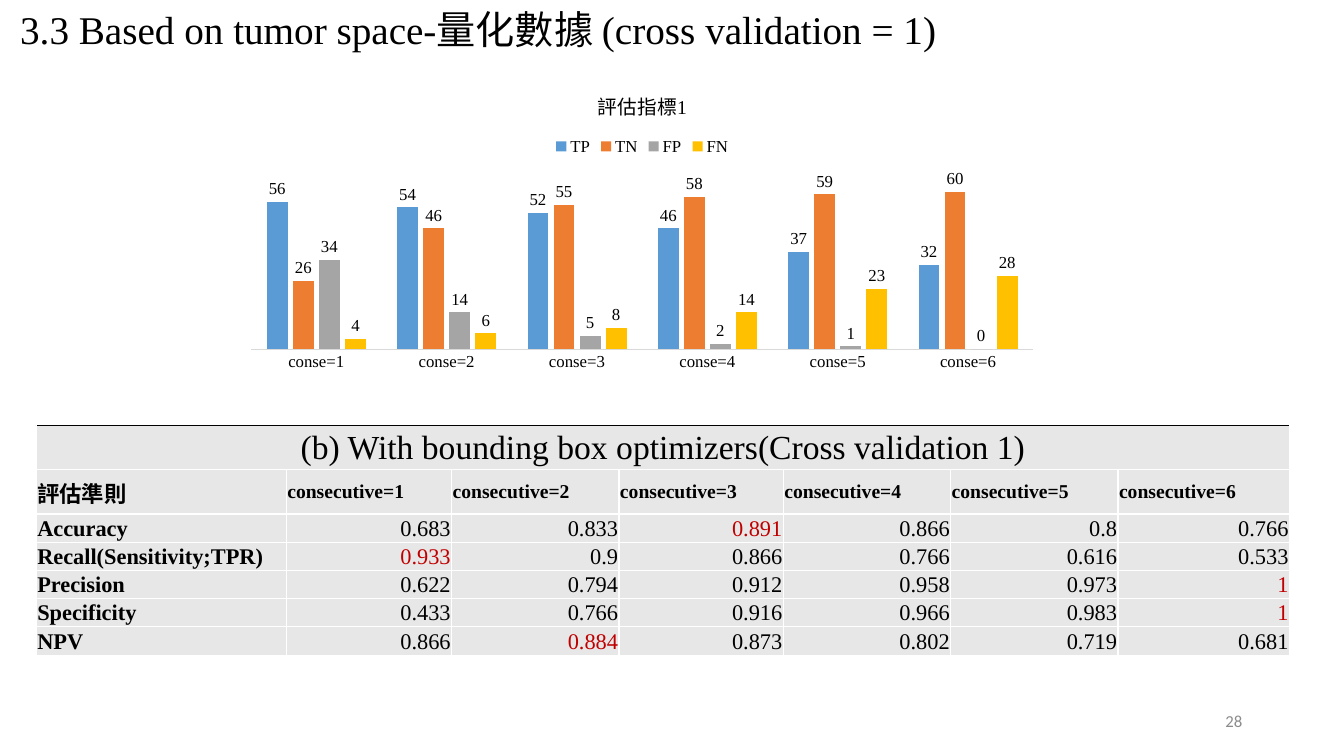
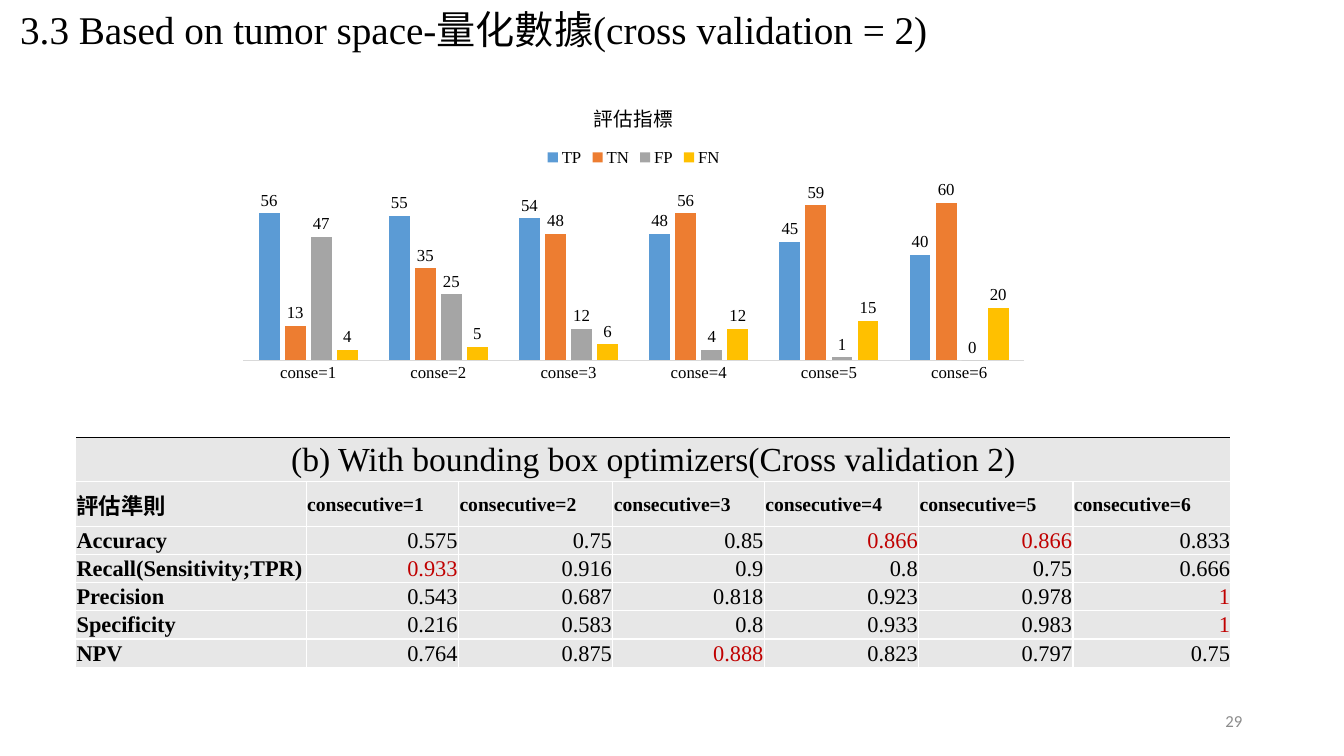
import pptx
import pptx.chart.data
import pptx.dml.color
import pptx.enum.chart
import pptx.enum.text
import pptx.oxml
import pptx.util
from pptx.util import Inches

# Shared style
FONT = "Times New Roman"
BLACK, WHITE, RED, GREY = "000000", "FFFFFF", "C00000", "8C8C8C"
CELL_FILL, AXIS_LINE = "E7E7E7", "D9D9D9"
SERIES_COLORS = {"TP": "5B9BD5", "TN": "ED7D31", "FP": "A5A5A5", "FN": "FFC000"}
STEPS = range(1, 7)
METRICS = ["Accuracy", "Recall(Sensitivity;TPR)", "Precision", "Specificity", "NPV"]
COL_WIDTHS = [2.48, 1.64, 1.66, 1.63, 1.66, 1.66, 1.7]
HEAD_HEIGHT, ROW_HEIGHT = 0.44, 0.28
LEFT = pptx.enum.text.PP_ALIGN.LEFT
CENTER = pptx.enum.text.PP_ALIGN.CENTER
RIGHT = pptx.enum.text.PP_ALIGN.RIGHT

# Content of each slide
SLIDES = [
    {
        "number": 28,
        "title": "3.3 Based on tumor space-量化數據 (cross validation = 1)",
        "chart_title": "評估指標1",
        "chart_box": (2.33, 0.74, 8.08, 3),
        "counts": {
            "TP": [56, 54, 52, 46, 37, 32],
            "TN": [26, 46, 55, 58, 59, 60],
            "FP": [34, 14, 5, 2, 1, 0],
            "FN": [4, 6, 8, 14, 23, 28],
        },
        "caption": "(b) With bounding box optimizers(Cross validation 1)",
        "table_box": (0.36, 4.22, 12.43),
        "scores": [
            [0.683, 0.833, 0.891, 0.866, 0.8, 0.766],
            [0.933, 0.9, 0.866, 0.766, 0.616, 0.533],
            [0.622, 0.794, 0.912, 0.958, 0.973, 1],
            [0.433, 0.766, 0.916, 0.966, 0.983, 1],
            [0.866, 0.884, 0.873, 0.802, 0.719, 0.681],
        ],
    },
    {
        "number": 29,
        "title": "3.3 Based on tumor space-量化數據(cross validation = 2)",
        "chart_title": "評估指標",
        "chart_box": (2.25, 0.85, 8.07, 3),
        "counts": {
            "TP": [56, 55, 54, 48, 45, 40],
            "TN": [13, 35, 48, 56, 59, 60],
            "FP": [47, 25, 12, 4, 1, 0],
            "FN": [4, 5, 6, 12, 15, 20],
        },
        "caption": "(b) With bounding box optimizers(Cross validation 2)",
        "table_box": (0.75, 4.34, 11.46),
        "scores": [
            [0.575, 0.75, 0.85, 0.866, 0.866, 0.833],
            [0.933, 0.916, 0.9, 0.8, 0.75, 0.666],
            [0.543, 0.687, 0.818, 0.923, 0.978, 1],
            [0.216, 0.583, 0.8, 0.933, 0.983, 1],
            [0.764, 0.875, 0.888, 0.823, 0.797, 0.75],
        ],
    },
]


def rgb(color):
    return pptx.dml.color.RGBColor.from_string(color)


def format_font(font, size=12, color=BLACK, bold=False, name=FONT):
    font.name = name
    font.size = pptx.util.Pt(size)
    font.bold = bold
    font.color.rgb = rgb(color)


def write(tf, text, align=LEFT, **style):
    p = tf.paragraphs[0]
    p.alignment = align
    r = p.add_run()
    r.text = text
    format_font(r.font, **style)


# Title and slide number
def add_title(s, text):
    sp = s.shapes.title
    sp.left, sp.top, sp.width, sp.height = map(Inches, (-0.4, 0, 12.47, 0.57))
    tf = sp.text_frame
    tf.auto_size = pptx.enum.text.MSO_AUTO_SIZE.NONE
    tf.vertical_anchor = pptx.enum.text.MSO_ANCHOR.TOP
    tf.margin_left = Inches(0.6)
    write(tf, text, size=28)


def add_slide_number(s, number):
    sp = s.shapes.add_textbox(*map(Inches, (9.42, 6.95, 3, 0.4)))
    tf = sp.text_frame
    tf.word_wrap = True
    tf.vertical_anchor = pptx.enum.text.MSO_ANCHOR.MIDDLE
    write(tf, str(number), align=RIGHT, color=GREY, name="Calibri")


# Column chart
def add_counts_chart(s, box, title, counts):
    data = pptx.chart.data.CategoryChartData()
    data.categories = [f"conse={n}" for n in STEPS]
    for name, values in counts.items():
        data.add_series(name, values)
    kind = pptx.enum.chart.XL_CHART_TYPE.COLUMN_CLUSTERED
    chart = s.shapes.add_chart(kind, *map(Inches, box), data).chart
    format_font(chart.font)

    chart.has_title = True
    write(chart.chart_title.text_frame, title, align=CENTER, size=14)
    chart.has_legend = True
    chart.legend.position = pptx.enum.chart.XL_LEGEND_POSITION.TOP
    chart.legend.include_in_layout = False
    format_font(chart.legend.font)

    axis = chart.category_axis
    axis.major_tick_mark = pptx.enum.chart.XL_TICK_MARK.NONE
    axis.format.line.color.rgb = rgb(AXIS_LINE)
    axis.format.line.width = pptx.util.Pt(0.75)
    format_font(axis.tick_labels.font)
    axis = chart.value_axis
    axis.minimum_scale, axis.maximum_scale = 0, 70
    axis.has_major_gridlines = False
    axis.visible = False

    plot = chart.plots[0]
    plot.gap_width, plot.overlap = 150, -25
    plot.vary_by_categories = False
    for series in plot.series:
        series.format.fill.solid()
        series.format.fill.fore_color.rgb = rgb(SERIES_COLORS[series.name])
        labels = series.data_labels
        labels.show_value = True
        labels.position = pptx.enum.chart.XL_LABEL_POSITION.OUTSIDE_END
        format_font(labels.font)


# Score table
def set_borders(cell, top):
    tc_pr = cell._tc.get_or_add_tcPr()
    for side, color in zip("LRTB", (WHITE, WHITE, top, WHITE)):
        tc_pr.append(pptx.oxml.parse_xml(
            f'<a:ln{side} xmlns:a="http://schemas.openxmlformats.org/drawingml/2006/main"'
            f' w="12700"><a:solidFill><a:srgbClr val="{color}"/></a:solidFill></a:ln{side}>'))


def style_cell(cell, top=WHITE):
    set_borders(cell, top)
    cell.fill.solid()
    cell.fill.fore_color.rgb = rgb(CELL_FILL)
    cell.vertical_anchor = pptx.enum.text.MSO_ANCHOR.MIDDLE
    cell.margin_left = cell.margin_top = cell.margin_right = Inches(0.01)
    cell.margin_bottom = 0


def add_score_table(s, box, caption, scores):
    left, top, width = box
    heights = [HEAD_HEIGHT] * 2 + [ROW_HEIGHT] * len(METRICS)
    frame = s.shapes.add_table(len(heights), len(COL_WIDTHS), *map(
        Inches, (left, top, width, sum(heights))))
    table = frame.table
    table.first_row = table.horz_banding = False
    for column, share in zip(table.columns, COL_WIDTHS):
        column.width = Inches(width * share / sum(COL_WIDTHS))
    for i, height in enumerate(heights):
        table.rows[i].height = Inches(height)
        for cell in table.rows[i].cells:
            style_cell(cell, top=WHITE if i else BLACK)

    # Caption and headings
    table.cell(0, 0).merge(table.cell(0, len(COL_WIDTHS) - 1))
    write(table.cell(0, 0).text_frame, caption, align=CENTER, size=24)
    write(table.cell(1, 0).text_frame, "評估準則", size=16, bold=True)
    for n in STEPS:
        write(table.cell(1, n).text_frame, f"consecutive={n}", size=14, bold=True)

    # Scores, with the best of each row in red
    for i, (metric, values) in enumerate(zip(METRICS, scores), start=2):
        write(table.cell(i, 0).text_frame, metric, size=16, bold=True)
        for n, value in zip(STEPS, values):
            color = RED if value == max(values) else BLACK
            write(table.cell(i, n).text_frame, str(value), align=RIGHT, size=16, color=color)


def main():
    prs = pptx.Presentation()
    prs.slide_width, prs.slide_height = Inches(13.33), Inches(7.5)
    for content in SLIDES:
        s = prs.slides.add_slide(prs.slide_layouts[5])
        add_title(s, content["title"])
        add_slide_number(s, content["number"])
        add_counts_chart(s, content["chart_box"], content["chart_title"], content["counts"])
        add_score_table(s, content["table_box"], content["caption"], content["scores"])
    prs.save("out.pptx")


if __name__ == "__main__":
    main()
